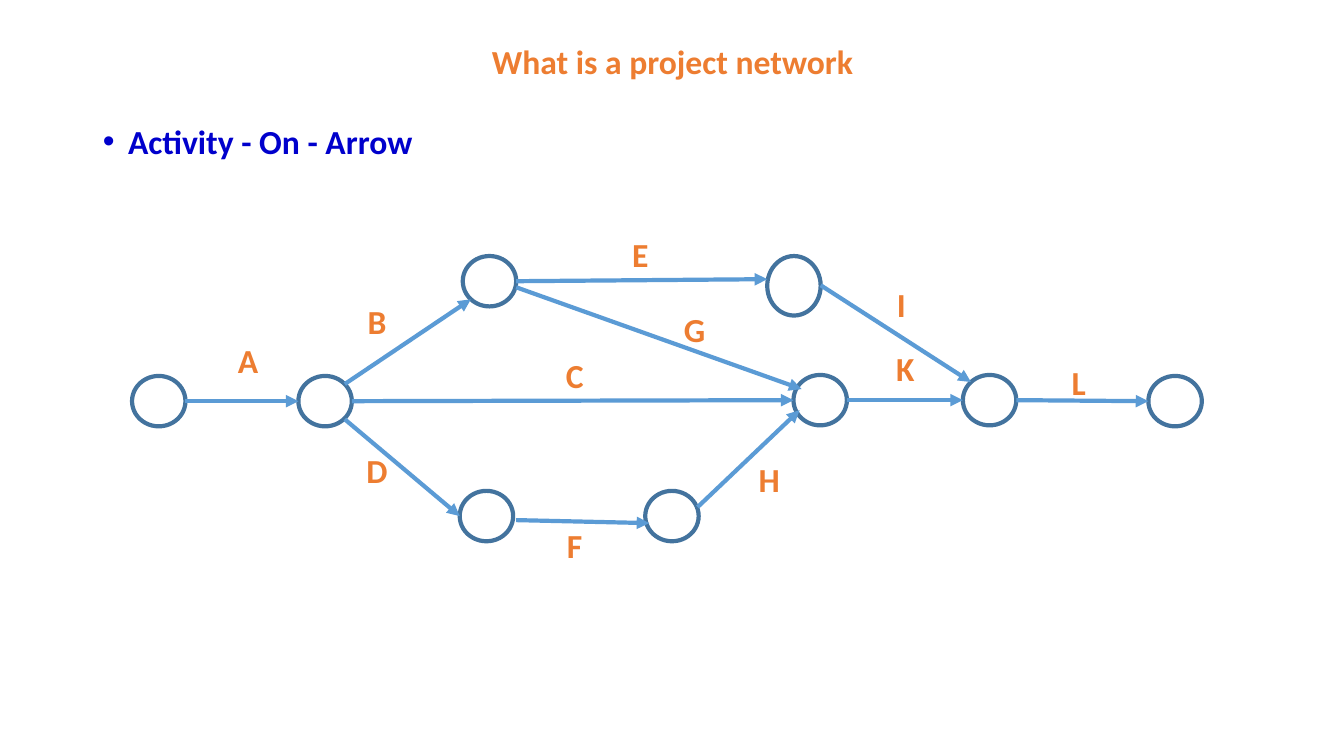
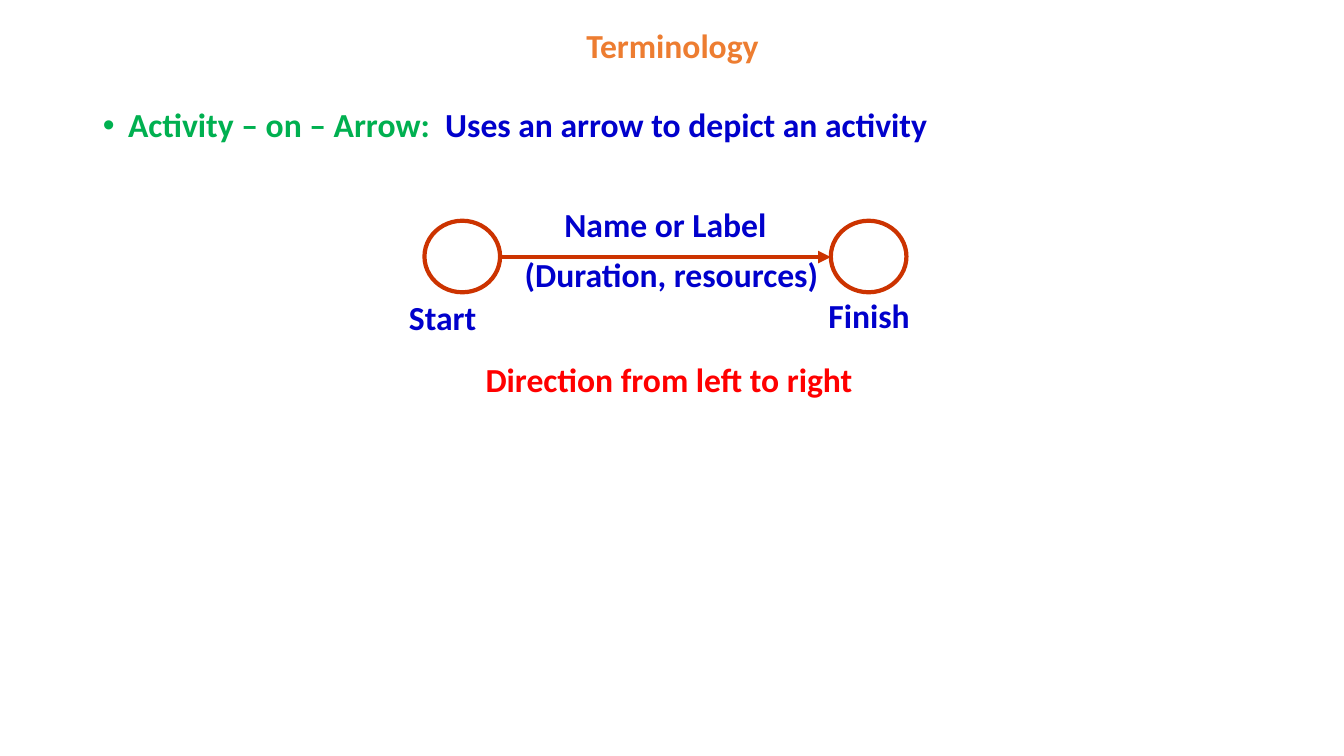
"""Build two slides that explain activity-on-arrow project networks."""
from pptx import Presentation
from pptx import util as u
from pptx.dml import color
from pptx.enum import shapes, text
from pptx.oxml import ns
from lxml import etree

ORANGE = color.RGBColor(0xED, 0x7D, 0x31)
BLUE = color.RGBColor(0x00, 0x00, 0xCC)
GREEN = color.RGBColor(0x00, 0xB0, 0x50)
RED = color.RGBColor(0xFF, 0x00, 0x00)
STEEL = color.RGBColor(0x43, 0x73, 0x9E)
SKY = color.RGBColor(0x5B, 0x9B, 0xD5)
RUST = color.RGBColor(0xCC, 0x33, 0x00)

FONT_FORMAT = {"name": "Calibri", "size": u.Pt(24), "bold": True}
PARAGRAPH_FORMAT = {"line_spacing": 0.9, "space_before": u.Pt(0)}
LINE_WIDTH = u.Pt(3)
NODE_WIDTH, NODE_HEIGHT = 0.53, 0.5
LABEL_WIDTH, LABEL_HEIGHT = 0.64, 0.5

NETWORK_NODES = [
    (1.31, 3.73), (2.96, 3.73), (4.59, 2.54), (4.56, 4.87), (6.4, 4.87),
    (7.87, 3.72), (9.55, 3.72), (11.39, 3.73),
]
TALL_NODE = (7.61, 2.54, NODE_WIDTH, 0.59)

ACTIVITIES = {
    "A": ((1.84, 3.98), (2.96, 3.98), (2.14, 3.32)),
    "B": ((3.42, 3.81), (4.67, 2.97), (3.42, 2.94)),
    "C": ((3.49, 3.98), (7.87, 3.97), (5.38, 3.47)),
    "D": ((3.42, 4.16), (4.56, 5.12), (3.42, 4.41)),
    "E": ((5.12, 2.79), (7.61, 2.77), (6.03, 2.27)),
    "F": ((5.12, 5.16), (6.44, 5.19), (5.38, 5.16)),
    "G": ((5.12, 2.85), (7.95, 3.86), (6.57, 3.02)),
    "H": ((6.92, 5.03), (7.93, 4.07), (7.31, 4.5)),
    "I": ((8.14, 2.83), (9.63, 3.79), (8.62, 2.77)),
    "K": ((8.4, 3.97), (9.55, 3.97), (8.66, 3.4)),
    "L": ((10.08, 3.97), (11.39, 3.98), (10.38, 3.54)),
}


def inches(values):
    """Turn plain numbers into lengths."""
    return [u.Inches(value) for value in values]


def apply_format(target, values):
    """Set each attribute named in a dict of format values."""
    for name, value in values.items():
        setattr(target, name, value)


def add_run(paragraph, content, colour):
    """Add a run in the shared font."""
    run = paragraph.add_run()
    run.text = content
    apply_format(run.font, FONT_FORMAT)
    run.font.color.rgb = colour


def place(shape, box):
    """Move and size a shape."""
    apply_format(shape, dict(zip(("left", "top", "width", "height"), inches(box))))


def add_bullet(paragraph):
    """Give a paragraph a round bullet with a hanging indent."""
    properties = paragraph._p.get_or_add_pPr()
    indent = u.Inches(0.25)
    properties.set("marL", str(indent))
    properties.set("indent", str(-indent))
    etree.SubElement(properties, ns.qn("a:buFont"), typeface="Arial")
    etree.SubElement(properties, ns.qn("a:buChar"), char="•")


def add_content_slide(presentation, title, title_box, bullet_runs, body_box):
    """Add a slide with a centred title and one bullet."""
    slide = presentation.slides.add_slide(presentation.slide_layouts[1])
    place(slide.shapes.title, title_box)
    frame = slide.shapes.title.text_frame
    frame.vertical_anchor = text.MSO_ANCHOR.TOP
    heading = frame.paragraphs[0]
    apply_format(heading, {**PARAGRAPH_FORMAT, "alignment": text.PP_ALIGN.CENTER})
    add_run(heading, title, ORANGE)

    body = slide.placeholders[1]
    place(body, body_box)
    bullet = body.text_frame.paragraphs[0]
    add_bullet(bullet)
    apply_format(bullet, PARAGRAPH_FORMAT)
    for content, colour in bullet_runs:
        add_run(bullet, content, colour)
    return slide


def add_node(slide, box, colour):
    """Add an unfilled event circle."""
    node = slide.shapes.add_shape(shapes.MSO_SHAPE.OVAL, *inches(box))
    node.shadow.inherit = False
    node.fill.background()
    node.line.color.rgb = colour
    node.line.width = LINE_WIDTH


def add_arrow(slide, start, end, colour):
    """Add a straight arrow between two points."""
    arrow = slide.shapes.add_connector(
        shapes.MSO_CONNECTOR.STRAIGHT, *inches(start + end))
    arrow.line.color.rgb = colour
    arrow.line.width = LINE_WIDTH
    properties = arrow.element.spPr
    etree.SubElement(properties.find(ns.qn("a:ln")), ns.qn("a:tailEnd"), type="triangle")
    etree.SubElement(properties, ns.qn("a:effectLst"))


def add_label(slide, content, box, colour):
    """Add a centred text label."""
    label = slide.shapes.add_textbox(*inches(box))
    frame = label.text_frame
    frame.word_wrap = True
    frame.auto_size = text.MSO_AUTO_SIZE.SHAPE_TO_FIT_TEXT
    paragraph = frame.paragraphs[0]
    paragraph.alignment = text.PP_ALIGN.CENTER
    add_run(paragraph, content, colour)


def build_network(presentation):
    """Build the activity network slide."""
    slide = add_content_slide(
        presentation, "What is a project network", (0.92, 0.4, 11.5, 0.79),
        [("Activity - On - Arrow", BLUE)], (0.92, 1.19, 11.5, 5.57))
    for position in NETWORK_NODES:
        add_node(slide, position + (NODE_WIDTH, NODE_HEIGHT), STEEL)
    add_node(slide, TALL_NODE, STEEL)
    for name, (start, end, position) in ACTIVITIES.items():
        add_arrow(slide, start, end, SKY)
        add_label(slide, name, position + (LABEL_WIDTH, LABEL_HEIGHT), ORANGE)


def build_terminology(presentation):
    """Build the slide that names the parts of an activity."""
    slide = add_content_slide(
        presentation, "Terminology", (0.92, 0.24, 11.5, 0.49),
        [("Activity – on – Arrow:  ", GREEN),
         ("Uses an arrow to depict an activity", BLUE)],
        (0.92, 1.03, 11.5, 6.05))
    add_arrow(slide, (4.95, 2.55), (8.24, 2.55), RUST)
    for left in (4.21, 8.24):
        add_node(slide, (left, 2.19, 0.75, 0.71), RUST)
    for content, left, top, width, colour in (
            ("Name or Label", 5.33, 1.97, 2.54, BLUE),
            ("(Duration, resources)", 5.08, 2.47, 3.16, BLUE),
            ("Start", 3.12, 2.9, 2.54, BLUE),
            ("Finish", 7.35, 2.88, 2.54, BLUE),
            ("Direction from left to right", 4.58, 3.51, 4.11, RED)):
        add_label(slide, content, (left, top, width, LABEL_HEIGHT), colour)


def main():
    """Create and save the presentation."""
    presentation = Presentation()
    presentation.slide_width = u.Inches(13.33)
    presentation.slide_height = u.Inches(7.5)
    build_network(presentation)
    build_terminology(presentation)
    presentation.save("out.pptx")


if __name__ == "__main__":
    main()
